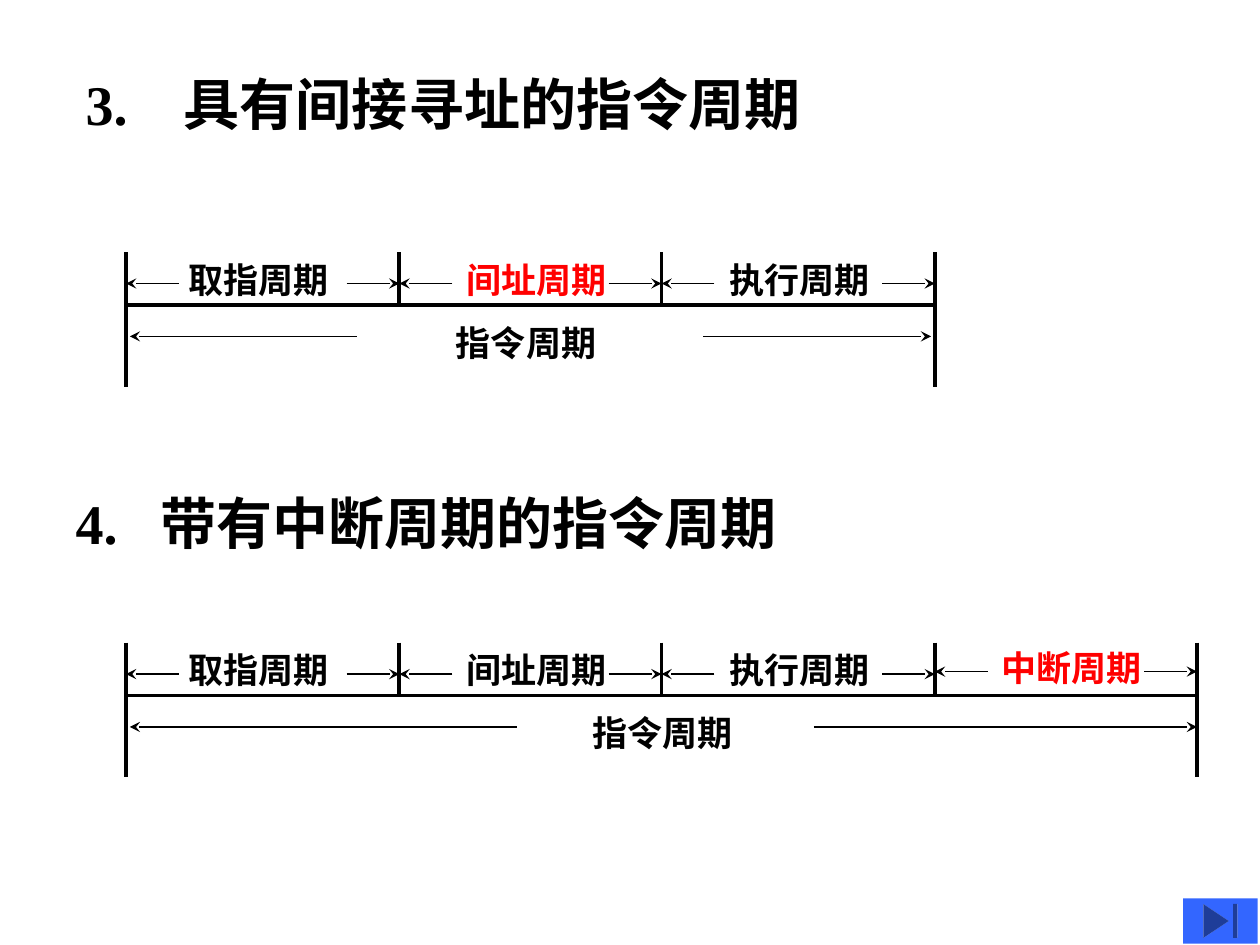
from lxml import etree
from pptx import Presentation
from pptx.dml.color import RGBColor
from pptx.enum import shapes, text
from pptx.oxml import ns
from pptx.util import Inches, Pt

BLACK = RGBColor(0x00, 0x00, 0x00)
RED = RGBColor(0xFF, 0x00, 0x00)
BLUE = RGBColor(0x33, 0x66, 0xFF)
FONT = "Times New Roman"
TICKS = [1, 3.17, 5.25, 7.42, 9.5]  # boundaries between the cycles
ARROW = 0.42
LABEL_W, LABEL_H = 1.32, 0.43


def add_text(tf, words, size, color):
    p = tf.paragraphs[0]
    p.alignment = text.PP_ALIGN.LEFT
    p.space_before = Pt(0)
    r = p.add_run()
    r.text = words
    r.font.name, r.font.size, r.font.bold = FONT, Pt(size), True
    r.font.color.rgb = color
    return p


def add_heading(sp, left, top, number, words, indent):
    """Fill a placeholder with a numbered heading, hung on its number."""
    sp.left, sp.top = Inches(left), Inches(top)
    sp.width, sp.height = Inches(6.25), Inches(0.63)
    tf = sp.text_frame
    tf.word_wrap = True
    tf.auto_size = text.MSO_AUTO_SIZE.NONE
    tf.vertical_anchor = text.MSO_ANCHOR.TOP
    p = add_text(tf, f"{number}\t{words}", 32, BLACK)
    pPr = p._p.get_or_add_pPr()
    pPr.set("marL", str(Inches(indent)))
    pPr.set("indent", str(-Inches(indent)))
    etree.SubElement(pPr, ns.qn("a:buNone"))


def add_label(s, left, top, words, color=BLACK):
    sp = s.shapes.add_textbox(Inches(left), Inches(top), Inches(LABEL_W), Inches(LABEL_H))
    sp.text_frame.word_wrap = False
    add_text(sp.text_frame, words, 20, color)


def add_line(s, x1, y1, x2, y2, arrow=False):
    line = s.shapes.add_connector(
        shapes.MSO_CONNECTOR.STRAIGHT, Inches(x1), Inches(y1), Inches(x2), Inches(y2))
    line.line.color.rgb = BLACK
    line.line.width = Pt(0.75 if arrow else 2.25)
    if arrow:
        etree.SubElement(line.line._get_or_add_ln(), ns.qn("a:tailEnd"), type="stealth")
    etree.SubElement(line._element.spPr, ns.qn("a:effectLst"))


def add_timeline(s, top, cycles, total_left, inner_ends):
    """Draw cycles side by side above the axis and the whole span below it."""
    start, end = TICKS[0], TICKS[len(cycles)]
    axis = top + 0.42

    # Axis and boundaries
    add_line(s, start, axis, end, axis)
    for x in TICKS[:len(cycles) + 1]:
        add_line(s, x, top, x, top + 1.07 if x in (start, end) else axis)

    # Single cycles
    for (words, label_left, color, lift), x1, x2 in zip(cycles, TICKS, TICKS[1:]):
        y = top + 0.25 - lift
        add_line(s, x1 + ARROW, y, x1, y, arrow=True)
        add_line(s, x2 - ARROW, y, x2, y, arrow=True)
        add_label(s, label_left, top - lift, words, color)

    # Whole instruction cycle
    y = top + 0.67
    left_end, right_end, tip = inner_ends
    add_line(s, left_end, y, start + 0.03, y, arrow=True)
    add_line(s, right_end, y, tip, y, arrow=True)
    add_label(s, total_left, top + 0.5, "指令周期")


def add_end_button(s, left, top, width, height):
    sp = s.shapes.add_shape(shapes.MSO_SHAPE.ACTION_BUTTON_END,
                            Inches(left), Inches(top), Inches(width), Inches(height))
    sp.shadow.inherit = False
    sp.fill.solid()
    sp.fill.fore_color.rgb = BLUE
    sp.line.fill.background()


def main():
    prs = Presentation()
    prs.slide_width, prs.slide_height = Inches(10), Inches(7.5)
    s = prs.slides.add_slide(prs.slide_layouts[1])

    # Headings
    add_heading(s.shapes.title, 0.58, 0.5, "3.", "具有间接寻址的指令周期", 0.78)
    add_heading(s.placeholders[1], 0.5, 3.83, "4.", "带有中断周期的指令周期", 0.67)

    # Timelines: words, label left, colour, lift
    fetch = ("取指周期", 1.4, BLACK, 0)
    execute = ("执行周期", 5.69, BLACK, 0)
    add_timeline(s, 2, [fetch, ("间址周期", 3.6, RED, 0), execute],
                 3.52, (2.83, 5.58, 7.39))
    add_timeline(s, 5.1, [fetch, ("间址周期", 3.6, BLACK, 0), execute,
                          ("中断周期", 7.85, RED, 0.02)],
                 4.6, (4.1, 6.46, 9.5))

    add_end_button(s, 9.39, 7.13, 0.59, 0.36)
    prs.save("out.pptx")


if __name__ == "__main__":
    main()
